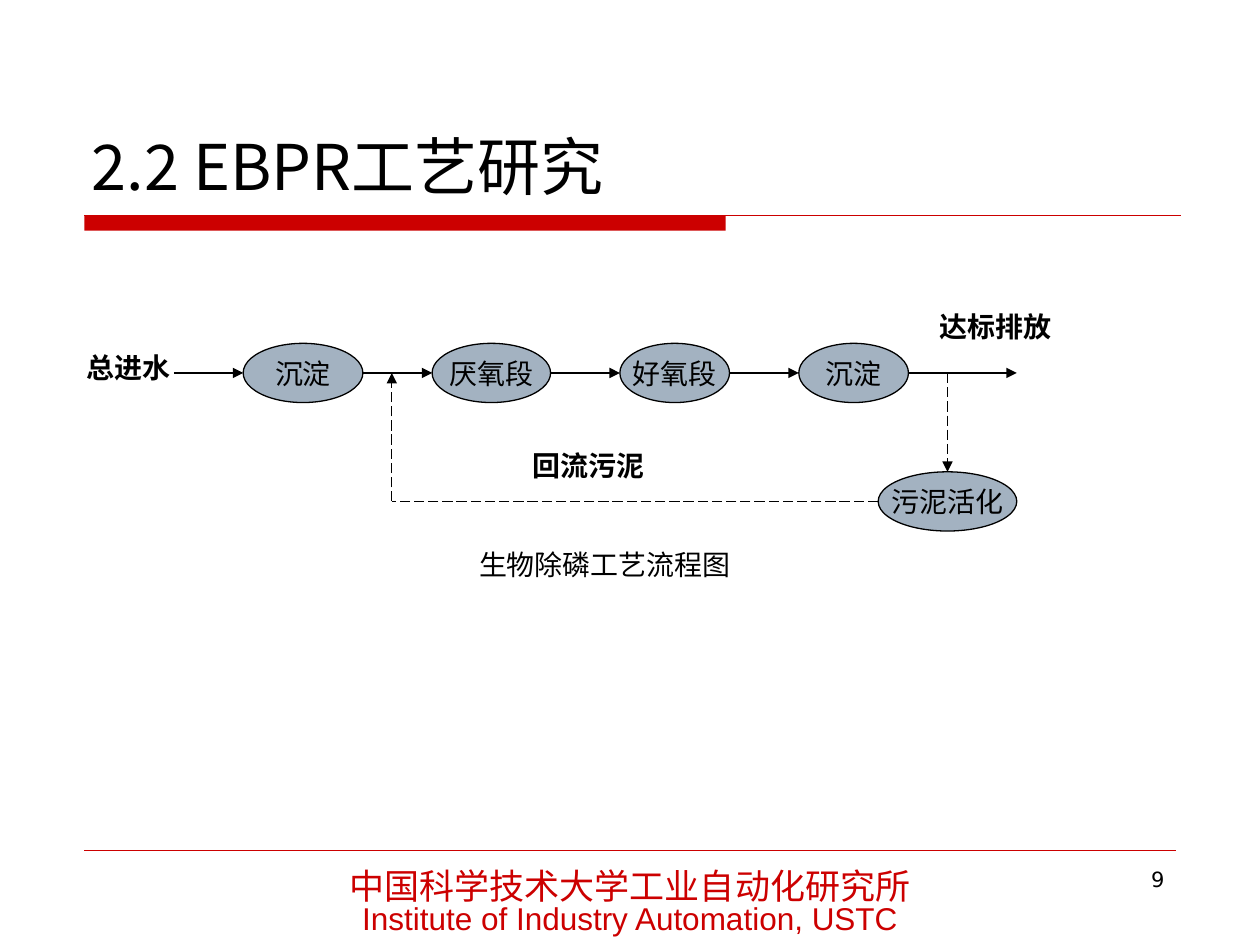
from dataclasses import dataclass

import pptx
import pptx.dml.color
import pptx.enum.dml
import pptx.enum.shapes
import pptx.enum.text
import pptx.oxml.ns
import pptx.util
from lxml import etree
from pptx.util import Inches

RED, BLACK, STEEL = "CC0000", "000000", "A3B2C1"
SANS, CJK = "DejaVu Sans", "Noto Sans CJK SC"
FLOW_Y, RETURN_Y = 2.96, 3.98
NODE_H = 0.47
ALIGN = pptx.enum.text.PP_ALIGN
ANCHOR = pptx.enum.text.MSO_ANCHOR
SHAPE = pptx.enum.shapes.MSO_SHAPE


@dataclass
class Line:
    text: str
    size: int = 16
    font: str = SANS
    color: str = BLACK
    bold: bool = False


@dataclass
class Label:
    left: float
    top: float
    width: float
    height: float
    lines: list[Line]
    align: int = ALIGN.LEFT
    anchor: int = ANCHOR.TOP
    spacing: float = 1.0


@dataclass
class Node:
    left: float
    width: float
    text: str
    middle: float = FLOW_Y

    @property
    def right(self) -> float:
        return self.left + self.width


@dataclass
class Link:
    x1: float
    y1: float
    x2: float
    y2: float
    color: str = BLACK
    weight: float = 0.75
    dashed: bool = False
    arrow: bool = True


def rgb(color: str) -> pptx.dml.color.RGBColor:
    return pptx.dml.color.RGBColor.from_string(color)


def write(tf, lines: list[Line], align: int, spacing: float = 1.0) -> None:
    tf.text = "\n".join(line.text for line in lines)
    for p, line in zip(tf.paragraphs, lines):
        p.alignment = align
        p.line_spacing = spacing
        for r in p.runs:
            r.font.size = pptx.util.Pt(line.size)
            r.font.bold = line.bold
            r.font.color.rgb = rgb(line.color)
            r.font.name = line.font
            ea = etree.SubElement(r.font._element, pptx.oxml.ns.qn("a:ea"))
            ea.set("typeface", line.font)


def add_label(s, label: Label) -> None:
    sp = s.shapes.add_textbox(Inches(label.left), Inches(label.top),
                              Inches(label.width), Inches(label.height))
    tf = sp.text_frame
    tf.word_wrap = True
    tf.vertical_anchor = label.anchor
    write(tf, label.lines, label.align, label.spacing)


def add_filled(s, kind: int, left: float, top: float, width: float,
               height: float, color: str):
    sp = s.shapes.add_shape(kind, Inches(left), Inches(top),
                            Inches(width), Inches(height))
    sp.shadow.inherit = False
    sp.fill.solid()
    sp.fill.fore_color.rgb = rgb(color)
    sp.line.fill.background()
    return sp


def add_node(s, node: Node) -> None:
    sp = add_filled(s, SHAPE.OVAL, node.left, node.middle - NODE_H / 2,
                    node.width, NODE_H, STEEL)
    sp.line.color.rgb = rgb(BLACK)
    sp.line.width = pptx.util.Pt(0.75)
    tf = sp.text_frame
    tf.word_wrap = False
    tf.vertical_anchor = ANCHOR.MIDDLE
    write(tf, [Line(node.text)], ALIGN.CENTER)


def add_link(s, link: Link) -> None:
    cxn = s.shapes.add_connector(
        pptx.enum.shapes.MSO_CONNECTOR.STRAIGHT,
        Inches(link.x1), Inches(link.y1), Inches(link.x2), Inches(link.y2))
    cxn.line.color.rgb = rgb(link.color)
    cxn.line.width = pptx.util.Pt(link.weight)
    if link.dashed:
        cxn.line.dash_style = pptx.enum.dml.MSO_LINE.LONG_DASH
    qn = pptx.oxml.ns.qn
    if link.arrow:
        ln = cxn.line._get_or_add_ln()
        etree.SubElement(ln, qn("a:tailEnd")).set("type", "triangle")
    etree.SubElement(cxn._element.spPr, qn("a:effectLst"))


def main() -> None:
    prs = pptx.Presentation()
    prs.slide_width, prs.slide_height = Inches(10), Inches(7.5)
    s = prs.slides.add_slide(prs.slide_layouts[6])

    add_filled(s, SHAPE.RECTANGLE, 0.67, 1.71, 5.09, 0.12, RED)
    stages = [Node(1.93, 0.95, "沉淀"), Node(3.43, 0.94, "厌氧段"),
              Node(4.92, 0.87, "好氧段"), Node(6.34, 0.87, "沉淀")]
    activation = Node(6.97, 1.1, "污泥活化", RETURN_Y)
    branch_x, return_x = 7.52, 3.11

    starts = [1.38] + [stage.right for stage in stages]
    ends = [stage.left for stage in stages] + [activation.right]
    links = [
        Link(0.67, 1.71, 9.37, 1.71, RED, arrow=False),
        Link(0.67, 6.75, 9.33, 6.75, RED, 0.25, arrow=False),
        *(Link(a, FLOW_Y, b, FLOW_Y) for a, b in zip(starts, ends)),
        Link(branch_x, FLOW_Y, branch_x, RETURN_Y - NODE_H / 2, dashed=True),
        Link(activation.left, RETURN_Y, return_x, RETURN_Y,
             dashed=True, arrow=False),
        Link(return_x, RETURN_Y, return_x, FLOW_Y, dashed=True),
    ]
    for link in links:
        add_link(s, link)
    for node in stages + [activation]:
        add_node(s, node)

    labels = [
        Label(0.63, 0.33, 8.75, 1.33, [Line("2.2 EBPR工艺研究", 36, CJK)],
              anchor=ANCHOR.BOTTOM),
        Label(0.59, 2.73, 0.94, 0.37, [Line("总进水", bold=True)]),
        Label(4.13, 3.51, 1.42, 0.37, [Line("回流污泥", bold=True)]),
        Label(7.36, 2.41, 1.22, 0.37, [Line("达标排放", bold=True)]),
        Label(2.95, 4.3, 3.7, 0.37, [Line("生物除磷工艺流程图")], ALIGN.CENTER),
        Label(2.6, 6.88, 4.8, 0.61,
              [Line("中国科学技术大学工业自动化研究所", 20, CJK, RED),
               Line("Institute of Industry Automation, USTC", 18, "Arial", RED)],
              ALIGN.CENTER, spacing=0.8),
        Label(7.17, 6.83, 2.17, 0.52, [Line("9", 12)], ALIGN.RIGHT),
    ]
    for label in labels:
        add_label(s, label)

    prs.save("out.pptx")


if __name__ == "__main__":
    main()
